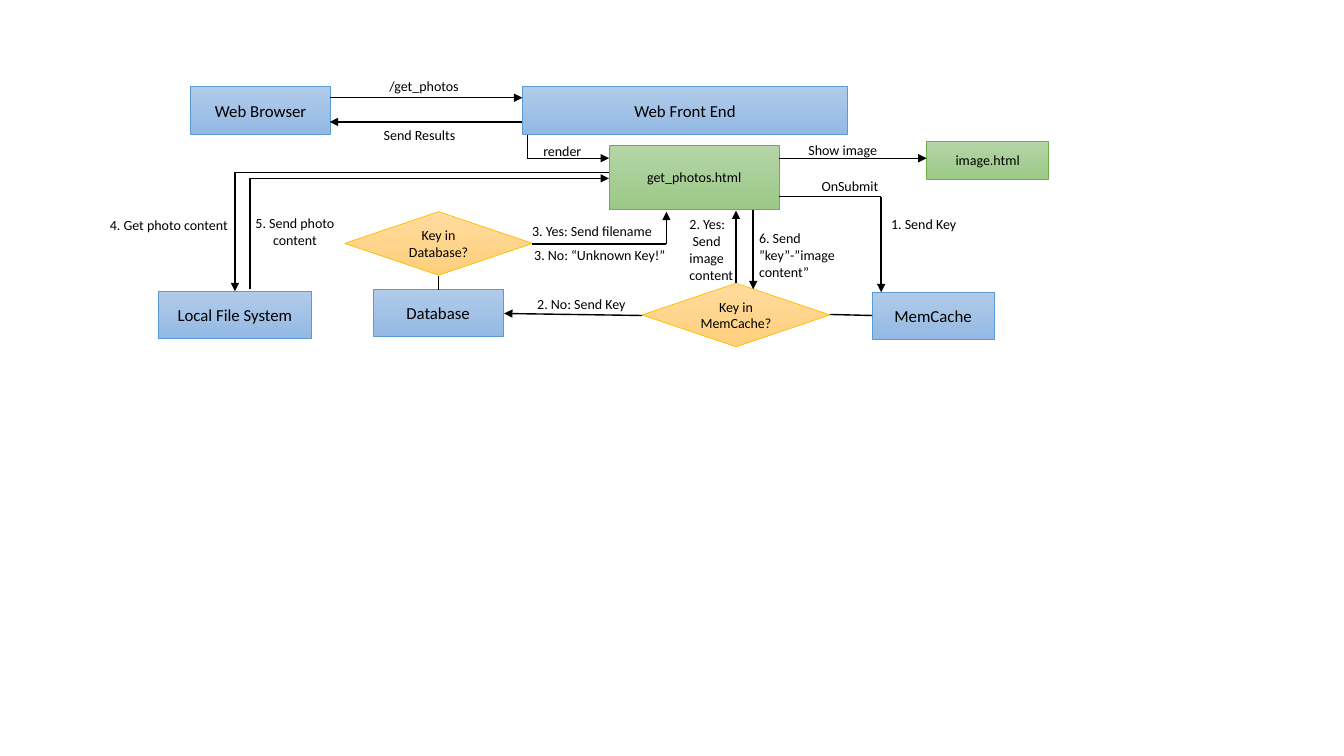
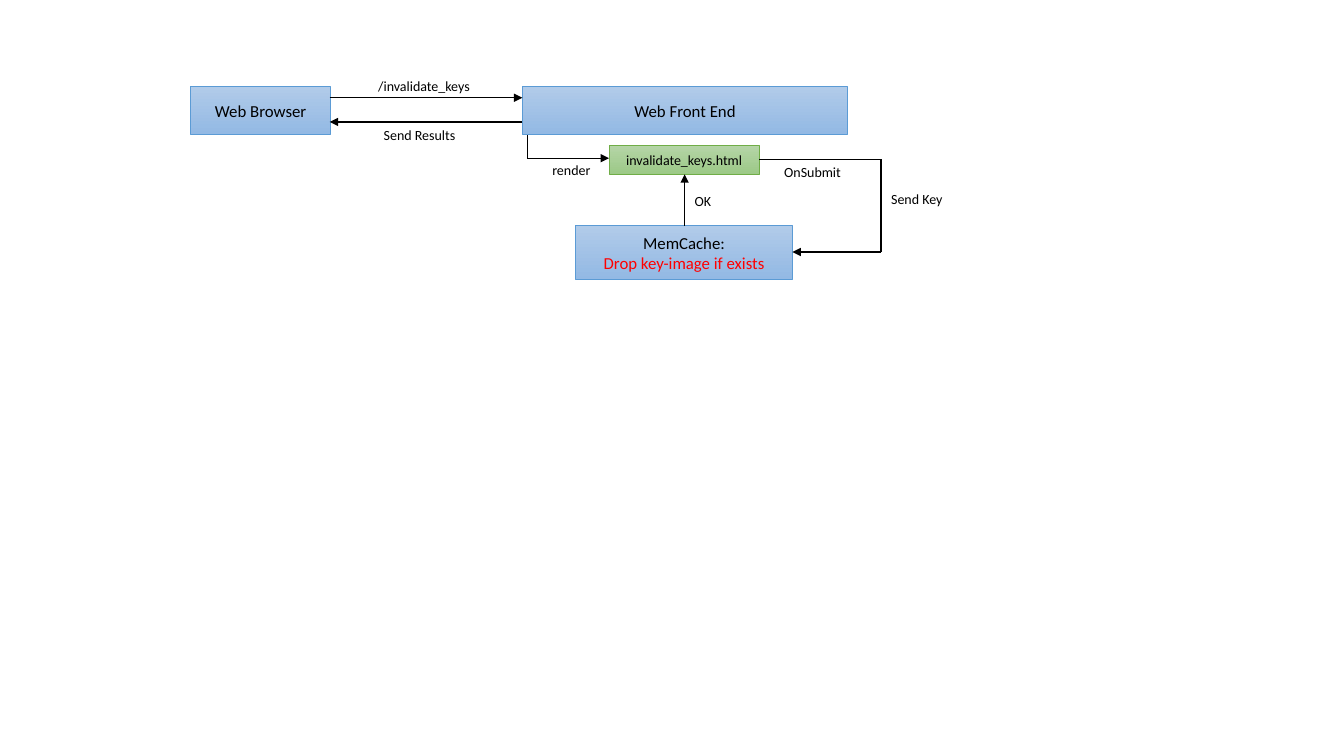
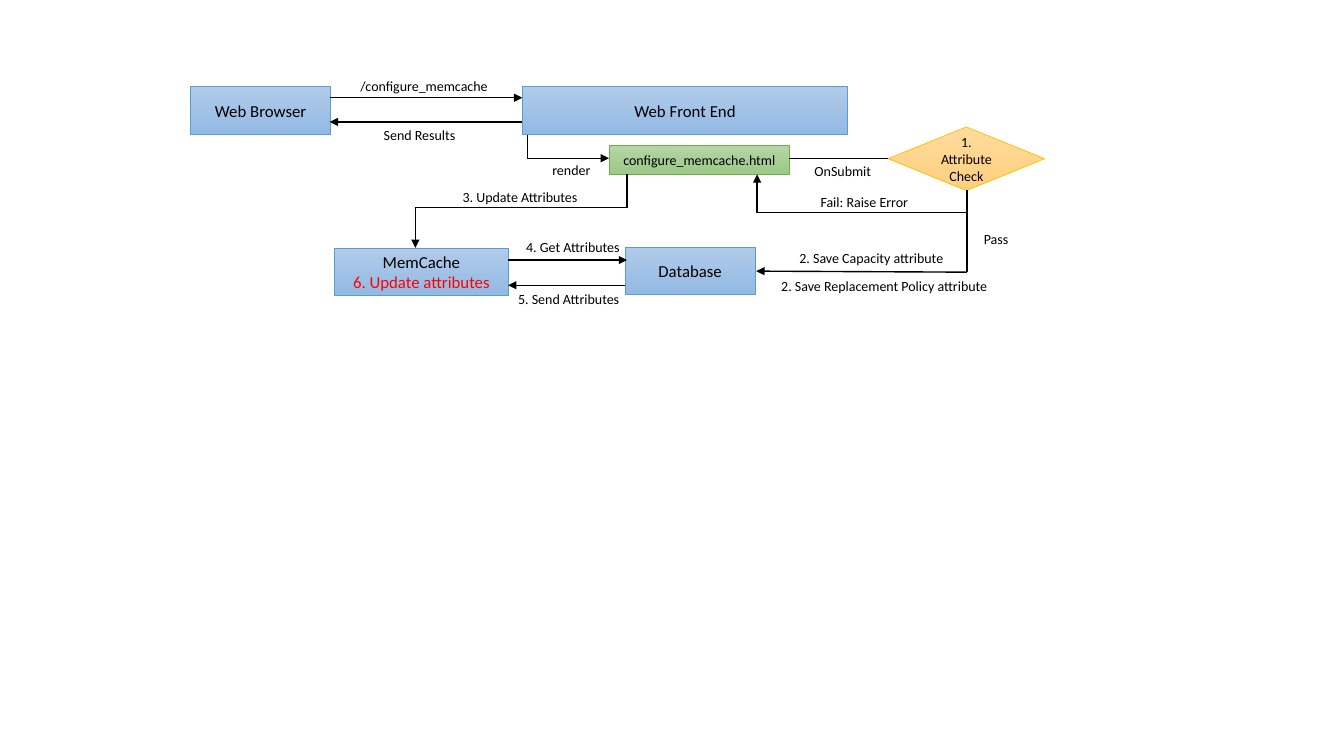
from pptx import Presentation
from pptx.dml.color import RGBColor
from pptx.enum.dml import MSO_LINE
from pptx.enum.shapes import MSO_CONNECTOR, MSO_SHAPE
from pptx.enum.text import MSO_ANCHOR, MSO_AUTO_SIZE, PP_ALIGN
from pptx.oxml.ns import qn
from pptx.util import Inches, Pt
from lxml import etree

STRAIGHT = MSO_CONNECTOR.STRAIGHT
RECT, DIAMOND = MSO_SHAPE.RECTANGLE, MSO_SHAPE.DIAMOND
LEFT, CENTER = PP_ALIGN.LEFT, PP_ALIGN.CENTER
MIDDLE = MSO_ANCHOR.MIDDLE
GROW = MSO_AUTO_SIZE.SHAPE_TO_FIT_TEXT
SOLID = MSO_LINE.SOLID

BLACK = RGBColor(0x00, 0x00, 0x00)
RED = RGBColor(0xFF, 0x00, 0x00)
BLUE_TOP = RGBColor(0xB1, 0xCB, 0xE9)
BLUE_BOTTOM = RGBColor(0x93, 0xB9, 0xE4)
BLUE_LINE = RGBColor(0x5B, 0x9B, 0xD5)
GREEN_TOP = RGBColor(0xB5, 0xD5, 0xA7)
GREEN_BOTTOM = RGBColor(0x9C, 0xC9, 0x87)
GREEN_LINE = RGBColor(0x70, 0xAD, 0x47)
AMBER_TOP = RGBColor(0xFF, 0xDB, 0x9E)
AMBER_BOTTOM = RGBColor(0xFF, 0xD0, 0x7C)
AMBER_LINE = RGBColor(0xFF, 0xC0, 0x00)

# Node kinds: preset shape, gradient ends, outline, text size
SERVICE = (RECT, (BLUE_TOP, BLUE_BOTTOM), BLUE_LINE, 12)
PAGE = (RECT, (GREEN_TOP, GREEN_BOTTOM), GREEN_LINE, 10)
DECISION = (DIAMOND, (AMBER_TOP, AMBER_BOTTOM), AMBER_LINE, 10)


class Diagram:
    font = "Calibri"
    label_size = 10
    label_height = 0.27
    service_height = 0.47

    def __init__(self, prs):
        self.prs = prs
        self.s = None

    def new_slide(self):
        self.s = self.prs.slides.add_slide(self.prs.slide_layouts[6])

    def add_text(self, tf, lines, size, align, colors=(BLACK,)):
        tf.word_wrap = True
        for i, line in enumerate(lines):
            p = tf.paragraphs[0] if i == 0 else tf.add_paragraph()
            p.alignment = align
            r = p.add_run()
            r.text = line
            style = {"name": self.font, "size": Pt(size)}
            for key, value in style.items():
                setattr(r.font, key, value)
            r.font.color.rgb = colors[min(i, len(colors) - 1)]

    def node(self, kind, x, y, w, h, *lines):
        """A service, page or decision; a second line is a red remark."""
        preset, ends, outline, size = kind
        sp = self.s.shapes.add_shape(preset, Inches(x), Inches(y), Inches(w), Inches(h))
        sp.shadow.inherit = False
        sp.fill.gradient()
        sp.fill.gradient_angle = 270
        for stop, color in zip(sp.fill.gradient_stops, ends):
            stop.color.rgb = color
        sp.line.color.rgb = outline
        for key, value in {"width": Pt(0.5), "dash_style": SOLID}.items():
            setattr(sp.line, key, value)
        sp.text_frame.vertical_anchor = MIDDLE
        self.add_text(sp.text_frame, lines, size, CENTER, (BLACK, RED))

    def service(self, x, y, w, *lines):
        self.node(SERVICE, x, y, w, self.service_height, *lines)

    def label(self, x, y, w, *lines, h=label_height, align=LEFT):
        sp = self.s.shapes.add_textbox(Inches(x), Inches(y), Inches(w), Inches(h))
        sp.text_frame.auto_size = GROW
        self.add_text(sp.text_frame, lines, self.label_size, align)

    def route(self, *points, arrow=True):
        """Straight lines through the points, with a head at the last one."""
        for start, end in zip(points, points[1:]):
            c = self.s.shapes.add_connector(STRAIGHT, *map(Inches, start + end))
            c.line.color.rgb = BLACK
            c.line.width = Pt(1)
            props = c.element.spPr
            if arrow and end == points[-1]:
                etree.SubElement(props.find(qn("a:ln")), qn("a:tailEnd"), type="triangle")
            etree.SubElement(props, qn("a:effectLst"))

    def request(self, url, page, page_w, page_h=0.29, render_at=(5.38, 1.55)):
        """Browser, front end and rendered page that open every slide."""
        self.new_slide()
        self.service(1.89, 0.86, 1.39, "Web Browser")
        self.service(5.18, 0.86, 3.23, "Web Front End")
        self.node(PAGE, 6.04, 1.44, page_w, page_h, page)
        self.route((3.27, 0.97), (5.18, 0.97))
        self.route((5.18, 1.21), (3.27, 1.21))
        self.route((5.23, 1.34), (5.23, 1.57), (6.04, 1.57))
        self.label(3.42, 0.72, 1.57, url, align=CENTER)
        self.label(3.42, 1.21, 1.48, "Send Results", align=CENTER)
        self.label(*render_at, 0.64, "render")


prs = Presentation()
prs.slide_width, prs.slide_height = Inches(13.33), Inches(7.5)
d = Diagram(prs)

# Slide 1: get photos
d.request("/get_photos", "get_photos.html", 1.69, 0.64, (5.29, 1.36))
d.service(1.57, 2.89, 1.52, "Local File System")
d.service(3.7, 2.87, 1.29, "Database")
d.service(8.65, 2.9, 1.21, "MemCache")
d.node(PAGE, 9.19, 1.4, 1.21, 0.38, "image.html")
d.node(DECISION, 3.42, 2.1, 1.86, 0.63, "Key in Database?")
d.node(DECISION, 6.37, 2.81, 1.86, 0.63, "Key in MemCache?")
# Cache lookup
d.route((7.73, 1.95), (8.74, 1.95), (8.74, 2.9))
d.route((8.23, 3.12), (8.65, 3.13), arrow=False)
d.route((7.3, 2.81), (7.3, 2.09))
d.route((7.47, 2.08), (7.47, 2.87))
d.route((7.73, 1.57), (9.19, 1.57))
d.label(8.05, 1.71, 0.9, "OnSubmit")
d.label(8.74, 2.09, 0.9, "1. Send Key")
d.label(6.74, 2.09, 0.7, "2. Yes:", " Send image content", h=0.77)
d.label(7.43, 2.23, 1.17, "6. Send ”key”-”image content”", h=0.44)
d.label(7.92, 1.35, 1.03, "Show image")
# Database lookup
d.route((6.37, 3.13), (5, 3.11))
d.route((4.35, 2.88), (4.35, 2.74), arrow=False)
d.route((5.28, 2.42), (6.61, 2.42), (6.61, 2.1))
d.label(5.23, 2.88, 1.68, "2. No: Send Key")
d.label(5.18, 2.16, 1.73, "3. Yes: Send filename")
d.label(5.2, 2.4, 1.73, "3. No: “Unknown Key!”")
# File access
d.route((6.04, 1.71), (2.33, 1.71), (2.33, 2.89))
d.route((2.48, 2.87), (2.48, 1.77), (6.04, 1.77))
d.label(0.96, 2.1, 1.43, "4. Get photo content", align=CENTER)
d.label(2.21, 2.08, 1.43, "5. Send photo content", h=0.44, align=CENTER)

# Slide 2: invalidate keys
d.request("/invalidate_keys", "invalidate_keys.html", 1.49)
d.node(SERVICE, 5.71, 2.24, 2.15, 0.53, "MemCache:", "Drop key-image if exists")
d.route((7.53, 1.58), (8.74, 1.58), (8.74, 2.5), (7.86, 2.5))
d.route((6.79, 2.24), (6.79, 1.73))
d.label(7.68, 1.57, 0.9, "OnSubmit")
d.label(8.74, 1.84, 0.9, "Send Key")
d.label(6.79, 1.86, 0.71, "OK")

# Slide 3: configure the cache
d.request("/configure_memcache", "configure_memcache.html", 1.79)
d.node(DECISION, 8.81, 1.26, 1.55, 0.63, "1. Attribute Check")
d.service(6.2, 2.45, 1.29, "Database")
d.service(3.32, 2.46, 1.72, "MemCache", "6. Update attributes")
# Attribute check
d.route((7.83, 1.57), (8.81, 1.57), arrow=False)
d.route((9.59, 1.89), (9.59, 2.7), (7.5, 2.69))
d.route((9.59, 2.11), (7.51, 2.11), (7.51, 1.73))
d.label(7.98, 1.56, 0.9, "OnSubmit")
d.label(8.04, 1.87, 1.27, "Fail: Raise Error")
d.label(9.66, 2.24, 0.9, "Pass")
d.label(7.83, 2.43, 1.95, "2. Save Capacity attribute")
d.label(7.65, 2.7, 2.36, "2. Save Replacement Policy attribute")
# Cache update
d.route((6.22, 1.73), (6.22, 2.06), (4.12, 2.06), (4.12, 2.46))
d.route((5.04, 2.58), (6.22, 2.58))
d.route((6.2, 2.83), (5.04, 2.83))
d.label(4.49, 1.82, 1.4, "3. Update Attributes")
d.label(5.12, 2.32, 1.38, "4. Get Attributes")
d.label(5.04, 2.83, 1.38, "5. Send Attributes")

prs.save("out.pptx")
